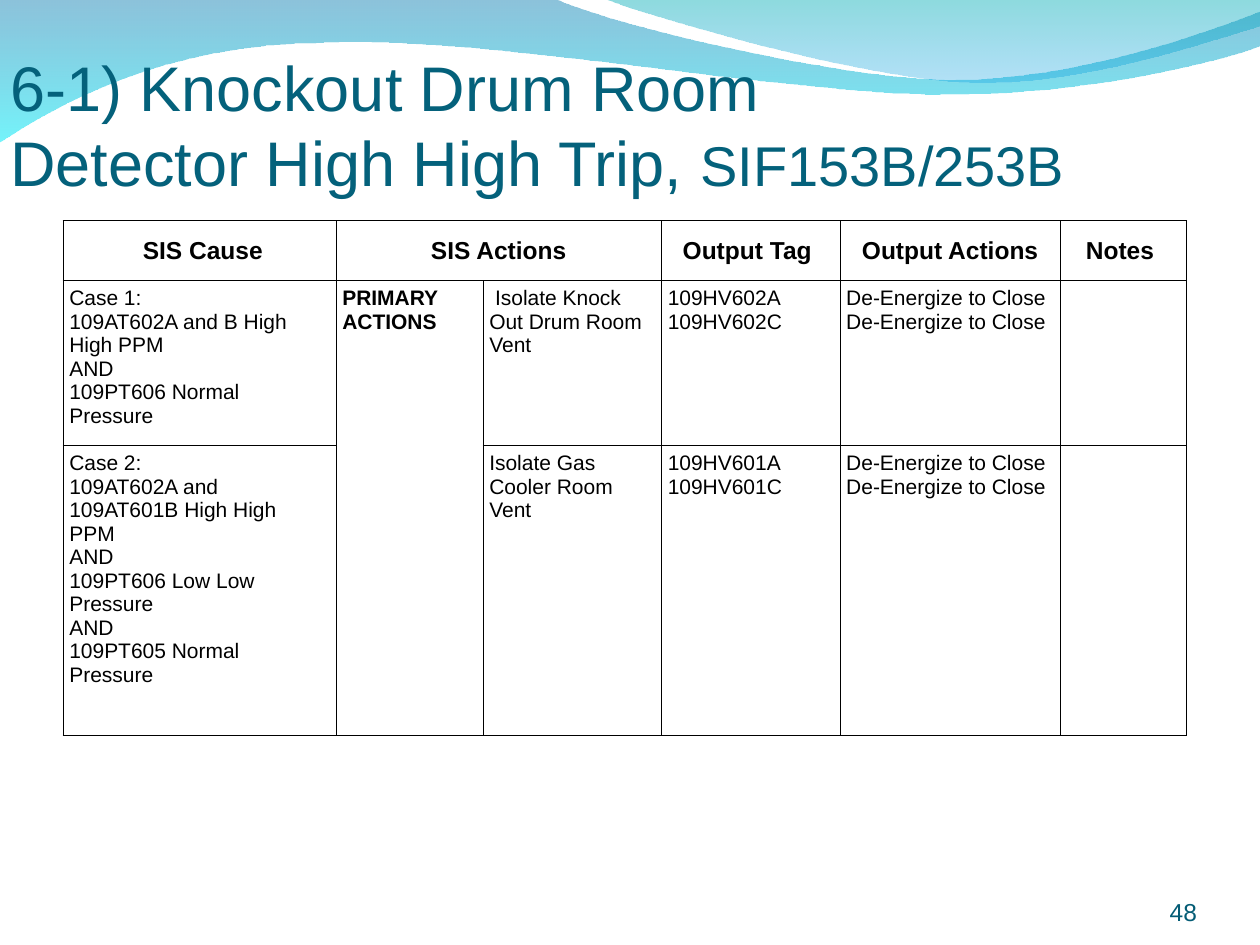
from lxml.etree import SubElement
from pptx import Presentation
from pptx.dml.color import RGBColor
from pptx.enum.text import MSO_ANCHOR as ANCHOR, PP_ALIGN as ALIGN
from pptx.oxml import parse_xml
from pptx.oxml.ns import nsdecls, qn
from pptx.util import Pt

FONT = "Arial"
BLACK = "000000"
TITLE_COLOR = "04617B"
NUMBER_COLOR = "045C75"

# Waves: a start point, then lines (one point) and Bezier curves (three points)
BACK_WAVE = [
    [(0, -0.7)], [(317, -0.7)],
    [(342.7, 12.2), (478, 45.4), (545.8, 45.4)],
    [(614, 45.4), (689.8, 18.7), (720, 6.5)],
    [(720.7, 26)],
    [(707.8, 31.7), (626.4, 54.7), (537, 54)],
    [(447.8, 54), (275, 20.2), (185, 24.5)],
    [(92.9, 25.2), (33, 59.8), (-0.7, 81.4)],
]
FRONT_WAVE = [
    [(345, -0.7)],
    [(366.5, 8), (491, 44.6), (553.7, 46.8)],
    [(616.3, 49.7), (692, 23), (720, 15)],
    [(720, 0)],
]

# Table content: each cell is a list of paragraphs
COLUMNS = [156, 84, 102, 102, 126, 72]
ROWS = [34.3, 94.2, 165.5]
CLOSE = ["De-Energize to Close"] * 2
CELLS = [
    [[" SIS Cause"], ["SIS Actions"], [], ["Output Tag "],
     ["Output Actions"], ["Notes "]],
    [["Case 1:", "109AT602A and B High High PPM", "AND",
      "109PT606 Normal Pressure"],
     ["PRIMARY ACTIONS"], [" Isolate Knock Out Drum Room Vent"],
     ["109HV602A", "109HV602C"], CLOSE, []],
    [["Case 2:", "109AT602A and 109AT601B High High PPM", "AND",
      "109PT606 Low Low  Pressure", "AND", "109PT605 Normal Pressure"],
     [], ["Isolate Gas Cooler Room Vent"],
     ["109HV601A", "109HV601C"], CLOSE, []],
]


def rgb(color):
    return RGBColor.from_string(color)


def add_run(p, text, size, color, bold=False):
    r = p.add_run()
    r.text = text
    r.font.name = FONT
    r.font.size = Pt(size)
    r.font.bold = bold
    r.font.color.rgb = rgb(color)


def add_text_box(slide, left, top, width, height, align=ALIGN.LEFT):
    """Add a bottom-anchored box and return its first paragraph."""
    tf = slide.shapes.add_textbox(
        Pt(left), Pt(top), Pt(width), Pt(height)).text_frame
    tf.word_wrap = True
    tf.vertical_anchor = ANCHOR.BOTTOM
    tf.margin_left = tf.margin_right = tf.margin_top = tf.margin_bottom = 0
    tf.paragraphs[0].alignment = align
    return tf.paragraphs[0]


def bend_lines(s, segments):
    """Turn each group of three line points into one Bezier curve."""
    outline = next(s._element.iter(qn("a:path")))
    lines = iter(outline.findall(qn("a:lnTo")))
    for seg in segments:
        group = [next(lines) for _ in seg]
        if len(seg) == 3:
            curve = SubElement(outline, qn("a:cubicBezTo"))
            group[0].addprevious(curve)
            for line in group:
                curve.append(line[0])
                outline.remove(line)


def add_wave(slide, segments, stops):
    points = [(Pt(x), Pt(y)) for seg in segments for x, y in seg]
    builder = slide.shapes.build_freeform(*points[0])
    builder.add_line_segments(points[1:], close=True)
    s = builder.convert_to_shape()
    bend_lines(s, segments[1:])
    s.shadow.inherit = False
    s.line.fill.background()

    # Top-to-bottom gradient with transparency
    s.fill.gradient()
    s.fill.gradient_angle = 270
    for stop, (color, _) in zip(s.fill.gradient_stops, stops):
        stop.color.rgb = rgb(color)
    colors = s._element.spPr.iter(qn("a:srgbClr"))
    for element, (_, opacity) in zip(list(colors), stops):
        element.append(parse_xml(
            f'<a:alpha {nsdecls("a")} val="{opacity * 1000}"/>'))


def set_borders(cell, color, width):
    tc_pr = cell._tc.get_or_add_tcPr()
    for i, side in enumerate(("lnL", "lnR", "lnT", "lnB")):
        tc_pr.insert(i, parse_xml(
            f'<a:{side} {nsdecls("a")} w="{Pt(width)}"><a:solidFill>'
            f'<a:srgbClr val="{color}"/></a:solidFill></a:{side}>'))


def fill_cell(cell, paragraphs, row, col):
    header = row == 0
    cell.fill.background()
    set_borders(cell, BLACK, 0.45)
    cell.vertical_anchor = ANCHOR.MIDDLE if header else ANCHOR.TOP
    cell.margin_top = cell.margin_bottom = Pt(3.6)
    cell.margin_left = Pt(7.2 if header and col < 4 else 3.6)
    cell.margin_right = Pt(7.2 if col < 4 else 3.6)
    tf = cell.text_frame
    for i, text in enumerate(paragraphs):
        p = tf.add_paragraph() if i else tf.paragraphs[0]
        p.alignment = ALIGN.CENTER if header else ALIGN.LEFT
        add_run(p, text, 14 if header else 12, BLACK, header or col == 1)


def add_trip_table(slide, left, top):
    table = slide.shapes.add_table(
        len(ROWS), len(COLUMNS), Pt(left), Pt(top),
        Pt(sum(COLUMNS)), Pt(sum(ROWS))).table
    table.first_row = table.horz_banding = False
    for column, width in zip(table.columns, COLUMNS):
        column.width = Pt(width)
    for row, height in zip(table.rows, ROWS):
        row.height = Pt(height)
    table.cell(0, 1).merge(table.cell(0, 2))
    table.cell(1, 1).merge(table.cell(2, 1))
    for i, row in enumerate(CELLS):
        for j, paragraphs in enumerate(row):
            fill_cell(table.cell(i, j), paragraphs, i, j)


def main():
    prs = Presentation()
    prs.slide_width, prs.slide_height = Pt(720), Pt(540)
    slide = prs.slides.add_slide(prs.slide_layouts[6])

    # Header waves
    add_wave(slide, BACK_WAVE, [("0079AF", 45), ("00EBF8", 55)])
    add_wave(slide, FRONT_WAVE, [("00ADB6", 45), ("009BE5", 30)])

    # Title
    p = add_text_box(slide, 6, 24, 648, 90)
    add_run(p, "6-1) Knockout Drum Room ", 36, TITLE_COLOR)
    p.add_line_break()
    add_run(p, "Detector High High Trip, ", 36, TITLE_COLOR)
    add_run(p, "SIF153B/253B", 32, TITLE_COLOR)

    # Cause and action table
    add_trip_table(slide, 36, 126)

    # Slide number
    p = add_text_box(slide, 624, 500.5, 60, 28.75, ALIGN.RIGHT)
    add_run(p, "48", 14, NUMBER_COLOR)

    prs.save("out.pptx")


if __name__ == "__main__":
    main()
